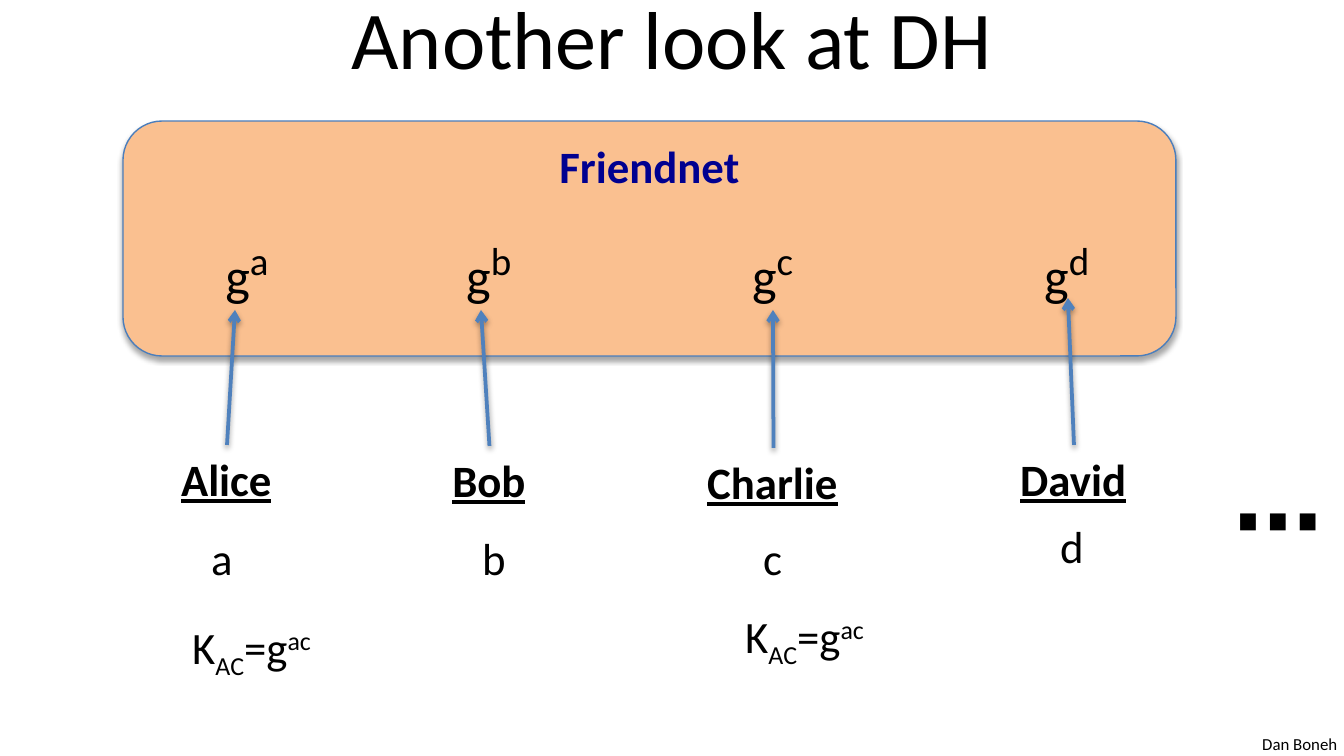
from dataclasses import dataclass

from lxml import etree
from pptx import Presentation
from pptx.dml.color import RGBColor
from pptx.enum import shapes, text
from pptx.oxml import ns
from pptx.util import Emu, Pt

PX = 914400 / 134.4


@dataclass(frozen=True)
class Theme:
    font: str = "Calibri"
    ink: str = "000000"
    heading: str = "000090"
    panel: str = "FAC090"
    panel_line: str = "4B7EBC"
    arrow: str = "4F81BD"
    title: int = 44
    body: int = 24
    base: int = 28
    exponent: int = 36
    dots: int = 48
    footer: int = 9


THEME = Theme()


@dataclass(frozen=True)
class Party:
    name: str
    secret: str
    name_box: tuple
    secret_box: tuple
    public_box: tuple
    arrow_tip: tuple


PARTIES = (
    Party("Alice", "a", (168, 445, 118, 67), (198, 524, 48, 67), (212, 222, 74, 77), (235, 310)),
    Party("Bob", "b", (439, 446, 101, 67), (469, 524, 51, 67), (453, 222, 75, 77), (481, 310)),
    Party("Charlie", "c", (694, 448, 159, 67), (750, 524, 46, 67), (739, 222, 71, 77), (773, 310)),
    Party("David", "d", (1007, 445, 134, 67), (1047, 512, 51, 67), (1031, 222, 75, 77), (1068, 298)),
)


def px(*lengths):
    return [Emu(round(length * PX)) for length in lengths]


def set_values(target, values):
    for name, value in values.items():
        setattr(target, name, value)


def add_run(paragraph, content, size, color=THEME.ink, baseline=0, **formats):
    run = paragraph.add_run()
    run.text = content
    set_values(run.font, {"name": THEME.font, "size": Pt(size), **formats})
    run.font.color.rgb = RGBColor.from_string(color)
    if baseline:
        run.font._element.set("baseline", str(baseline * 1000))


def add_label(slide, box, runs, frame=None, align=None):
    label = slide.shapes.add_textbox(*px(*box))
    grow = {"word_wrap": False, "auto_size": text.MSO_AUTO_SIZE.SHAPE_TO_FIT_TEXT}
    set_values(label.text_frame, frame or grow)
    paragraph = label.text_frame.paragraphs[0]
    paragraph.alignment = align
    for run in runs:
        add_run(paragraph, **run)


def add_shadow(shape, alpha, blur, distance):
    properties = shape._element.spPr
    effects = properties.find(ns.qn("a:effectLst"))
    if effects is None:
        effects = etree.SubElement(properties, ns.qn("a:effectLst"))
    shadow = etree.SubElement(
        effects, ns.qn("a:outerShdw"), blurRad=str(Pt(blur)),
        dist=str(Pt(distance)), dir="5400000", rotWithShape="0")
    color = etree.SubElement(shadow, ns.qn("a:srgbClr"), val=THEME.ink)
    etree.SubElement(color, ns.qn("a:alpha"), val=str(alpha * 1000))


def add_panel(slide, box, heading):
    panel = slide.shapes.add_shape(shapes.MSO_SHAPE.ROUNDED_RECTANGLE, *px(*box))
    panel.fill.solid()
    panel.fill.fore_color.rgb = RGBColor.from_string(THEME.panel)
    panel.line.color.rgb = RGBColor.from_string(THEME.panel_line)
    panel.line.width = Pt(0.75)
    panel.shadow.inherit = False
    add_shadow(panel, 35, 3.1, 1.8)
    panel.text_frame.vertical_anchor = text.MSO_ANCHOR.TOP
    paragraph = panel.text_frame.paragraphs[0]
    paragraph.alignment = text.PP_ALIGN.CENTER
    add_run(paragraph, heading, THEME.body, THEME.heading, bold=True)


def add_arrow(slide, start, tip):
    arrow = slide.shapes.add_connector(shapes.MSO_CONNECTOR.STRAIGHT, *px(*start, *tip))
    arrow.line.color.rgb = RGBColor.from_string(THEME.arrow)
    arrow.line.width = Pt(2)
    etree.SubElement(arrow.line._get_or_add_ln(), ns.qn("a:tailEnd"), type="arrow")
    add_shadow(arrow, 38, 3.1, 1.6)


def add_party(slide, party):
    add_label(slide, party.name_box,
              [dict(content=party.name, size=THEME.body, bold=True, underline=True)])
    add_label(slide, party.secret_box, [dict(content=party.secret, size=THEME.body)])
    add_label(slide, party.public_box, [
        dict(content="g", size=THEME.base),
        dict(content=party.secret, size=THEME.exponent, baseline=30)])
    left, top, width, _ = party.name_box
    add_arrow(slide, (left + width / 2, top), party.arrow_tip)


def add_shared_key(slide, left, top):
    parts = (("K", 0), ("AC", -25), ("=g", 0), ("ac", 30))
    add_label(slide, (left, top, 156, 67), [
        dict(content=content, size=THEME.body, baseline=baseline)
        for content, baseline in parts])


def main():
    presentation = Presentation()
    presentation.slide_width, presentation.slide_height = px(1344, 756)
    slide = presentation.slides.add_slide(presentation.slide_layouts[6])
    add_label(slide, (1249, 727, 102, 34), [dict(content="Dan Boneh", size=THEME.footer)])
    add_label(slide, (67, -26, 1210, 126),
              [dict(content="Another look at DH", size=THEME.title)],
              {"word_wrap": True, "vertical_anchor": text.MSO_ANCHOR.MIDDLE},
              text.PP_ALIGN.CENTER)
    add_panel(slide, (123, 121, 1053, 235), "Friendnet")
    for party in PARTIES:
        add_party(slide, party)
    add_label(slide, (1220, 457, 73, 122),
              [dict(content="⋯", size=THEME.dots, bold=True)])
    for left, top in ((179, 613), (732, 602)):
        add_shared_key(slide, left, top)
    presentation.save("out.pptx")


if __name__ == "__main__":
    main()
